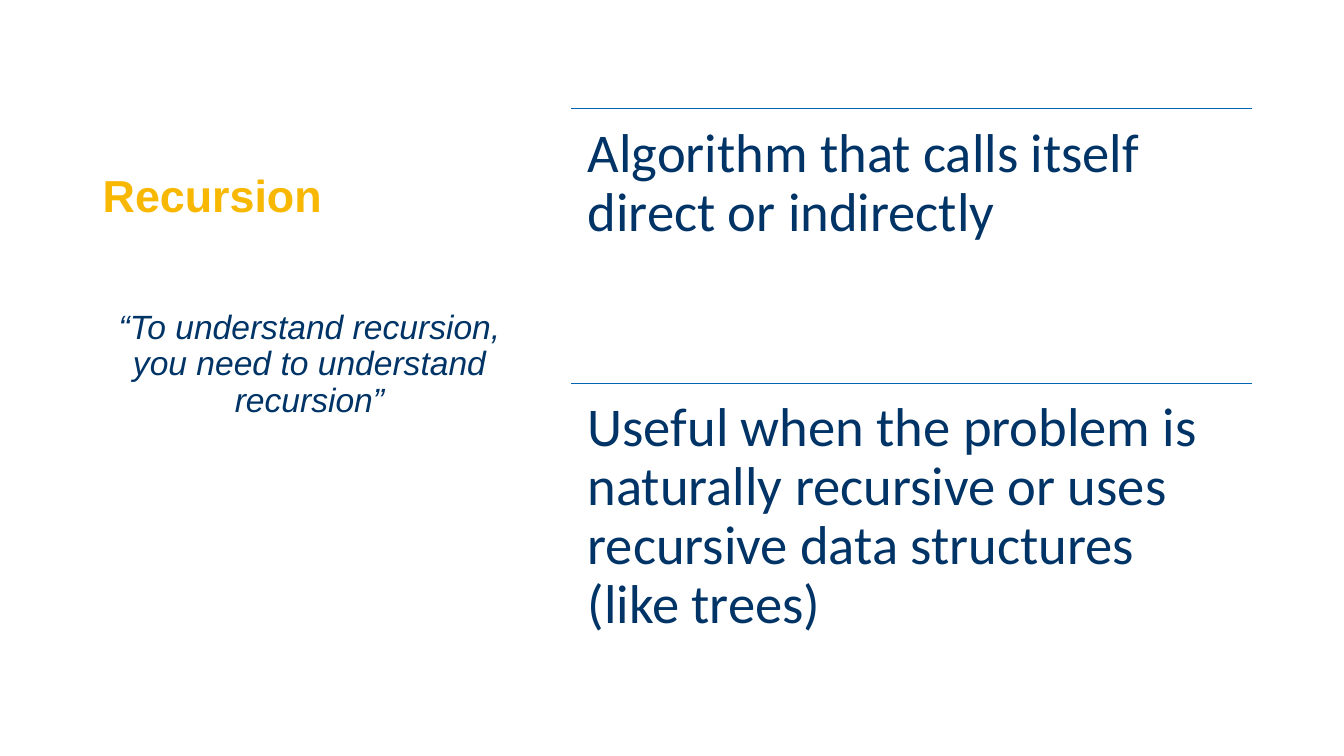
import dataclasses

import pptx
import pptx.dml.color
import pptx.enum.shapes
import pptx.enum.text
import pptx.oxml.ns
import pptx.util
from lxml import etree

Cm = pptx.util.Cm
Pt = pptx.util.Pt
Align = pptx.enum.text.PP_ALIGN
Anchor = pptx.enum.text.MSO_ANCHOR


def color(code):
    return pptx.dml.color.RGBColor.from_string(code)


@dataclasses.dataclass(frozen=True)
class Theme:
    title: dict
    quote: dict
    point: dict
    rule_color: str = "0066B3"
    rule_width: float = 0.5
    line_spacing: float = 0.9


THEME = Theme(
    title={"name": "Arial", "size": Pt(32), "bold": True, "color": "F8B700"},
    quote={"name": "Arial", "size": Pt(24), "italic": True, "color": "003466"},
    point={"name": "Calibri", "size": Pt(39), "color": "003366"},
)

POINTS = [
    "Algorithm that calls itself direct or indirectly",
    "Useful when the problem is naturally recursive or uses recursive data structures (like trees)",
]


def add_text(page, text, place, style, align=Align.LEFT, anchor=Anchor.TOP, inset=None):
    box = page.shapes.add_textbox(*(Cm(length) for length in place))
    frame = box.text_frame
    frame_format = {"word_wrap": True, "vertical_anchor": anchor}
    if inset is not None:
        for side in ("left", "top", "right", "bottom"):
            frame_format[f"margin_{side}"] = Cm(inset)
    for name, value in frame_format.items():
        setattr(frame, name, value)
    para = frame.paragraphs[0]
    para.alignment = align
    para.line_spacing = THEME.line_spacing
    span = para.add_run()
    span.text = text
    for name, value in style.items():
        if name == "color":
            span.font.color.rgb = color(value)
        else:
            setattr(span.font, name, value)


def add_rule(page, left, top, width):
    rule = page.shapes.add_connector(
        pptx.enum.shapes.MSO_CONNECTOR.STRAIGHT,
        Cm(left), Cm(top), Cm(left + width), Cm(top),
    )
    rule.line.color.rgb = color(THEME.rule_color)
    rule.line.width = Pt(THEME.rule_width)
    etree.SubElement(rule.element.spPr, pptx.oxml.ns.qn("a:effectLst"))


def add_points(page, points, left, top, width, height):
    for index, point in enumerate(points):
        row_top = top + index * height
        add_rule(page, left, row_top, width)
        add_text(page, point, (left, row_top, width, height), THEME.point, inset=0.41)


def main():
    deck = pptx.Presentation()
    deck.slide_width = Cm(33.87)
    deck.slide_height = Cm(19.05)
    page = deck.slides.add_slide(deck.slide_layouts[6])
    add_text(page, "Recursion", (2.34, 1.27, 10.92, 4.45), THEME.title, anchor=Anchor.BOTTOM)
    add_text(
        page,
        "“To understand recursion, you need to understand recursion”",
        (2.34, 7.7, 10.92, 8.84),
        THEME.quote,
        align=Align.CENTER,
    )
    add_points(page, POINTS, left=14.4, top=2.74, width=17.15, height=6.91)
    deck.save("out.pptx")


if __name__ == "__main__":
    main()
